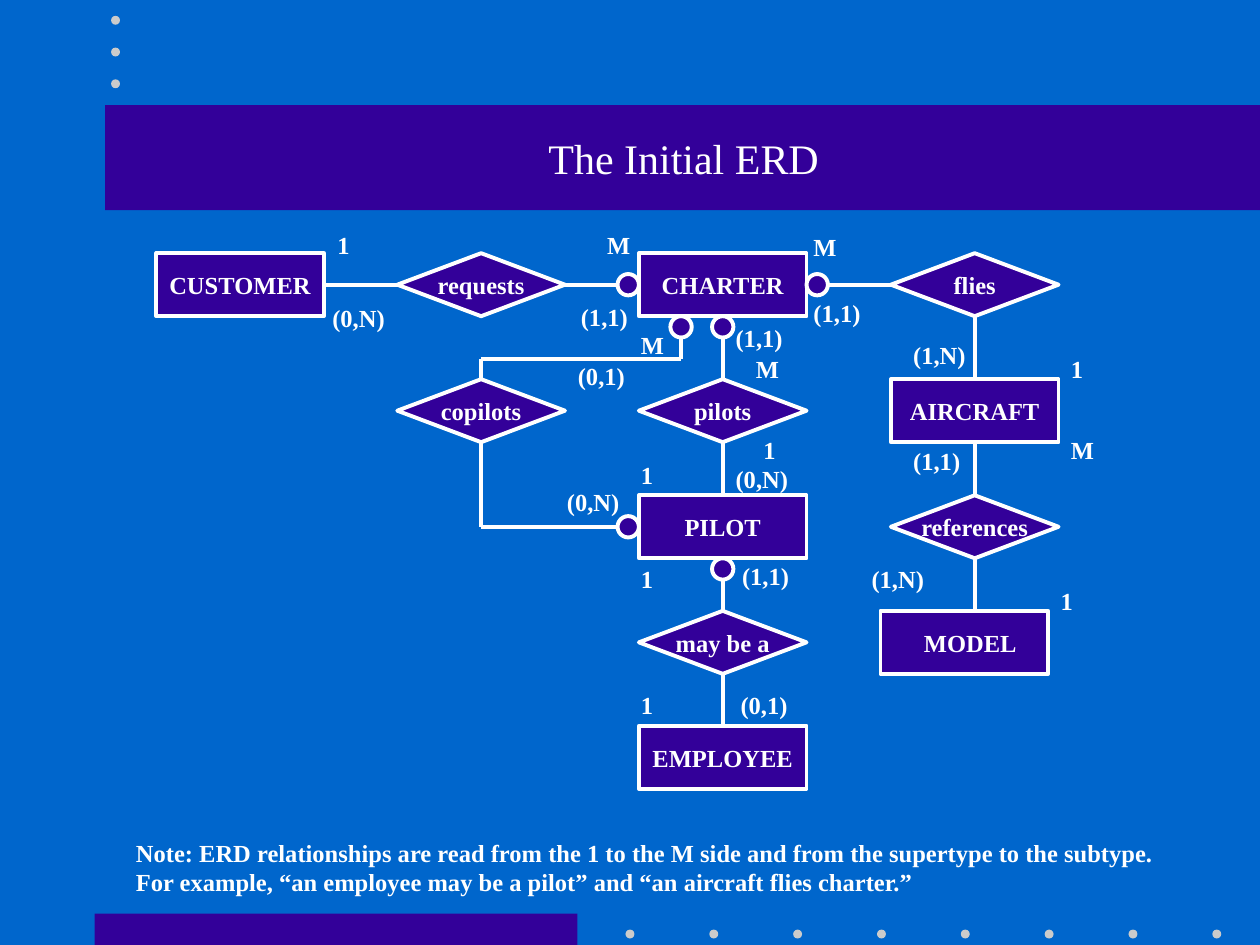
from lxml.etree import SubElement
from pptx import Presentation
from pptx.dml.color import RGBColor
from pptx.enum.shapes import MSO_CONNECTOR, MSO_SHAPE
from pptx.enum.text import MSO_ANCHOR, PP_ALIGN
from pptx.oxml.ns import qn
from pptx.util import Cm, Pt

BLUE, PURPLE, WHITE, GREY = "0066CC", "330099", "FFFFFF", "CBCBCB"
FONT = "Times New Roman"
LINE_WIDTH = 2.25
NODE_WIDTH, NODE_HEIGHT = 3.38, 1.27
CIRCLE = 0.43
DOT = 0.18

# Centres of the diagram's columns and rows, in cm
CUSTOMER_X, LEFT_X, MIDDLE_X, RIGHT_X, MODEL_X = 4.84, 9.7, 14.57, 19.65, 19.44
ROWS = (5.74, 8.28, 10.62, 12.95, 15.27)

ENTITIES = {
    "CUSTOMER": (CUSTOMER_X, ROWS[0]),
    "CHARTER": (MIDDLE_X, ROWS[0]),
    "AIRCRAFT": (RIGHT_X, ROWS[1]),
    "PILOT": (MIDDLE_X, ROWS[2]),
    "MODEL": (MODEL_X, ROWS[3]),
    "EMPLOYEE": (MIDDLE_X, ROWS[4]),
}
RELATIONSHIPS = {
    "requests": (LEFT_X, ROWS[0]),
    "flies": (RIGHT_X, ROWS[0]),
    "copilots": (LEFT_X, ROWS[1]),
    "pilots": (MIDDLE_X, ROWS[1]),
    "references": (RIGHT_X, ROWS[2]),
    "may be a": (MIDDLE_X, ROWS[3]),
}
NODES = {**ENTITIES, **RELATIONSHIPS}
SIDES = {"left": (-1, 0), "right": (1, 0), "top": (0, -1), "bottom": (0, 1)}

# Relationship, its side, entity, its side, circle at the entity
LINKS = [
    ("requests", "left", "CUSTOMER", "right", False),
    ("requests", "right", "CHARTER", "left", True),
    ("flies", "left", "CHARTER", "right", True),
    ("flies", "bottom", "AIRCRAFT", "top", False),
    ("references", "top", "AIRCRAFT", "bottom", False),
    ("references", "bottom", "MODEL", "top", False),
    ("pilots", "top", "CHARTER", "bottom", True),
    ("pilots", "bottom", "PILOT", "top", False),
    ("may be a", "top", "PILOT", "bottom", True),
    ("may be a", "bottom", "EMPLOYEE", "top", False),
]

# Label text: box width, then the left and top of each box
LABELS = {
    "1": (0.72, [(6.55, 4.52), (12.67, 9.14), (15.14, 8.64), (12.67, 11.25),
                 (12.67, 13.79), (21.13, 11.68), (21.34, 7.01)]),
    "M": (1, [(11.99, 4.52), (16.15, 4.55), (12.67, 6.53), (14.99, 7.01),
              (21.34, 8.64)]),
    "(1,1)": (1.5, [(11.46, 5.97), (16.15, 5.89), (18.16, 8.86),
                    (14.71, 11.18), (14.58, 6.38)]),
    "(0,1)": (1.5, [(11.4, 7.16), (14.68, 13.79)]),
    "(1,N)": (1.7, [(18.16, 6.73), (17.32, 11.25)]),
    "(0,N)": (1.7, [(6.45, 5.99), (11.18, 9.7), (14.58, 9.22)]),
}
NOTE = [
    "Note: ERD relationships are read from the 1 to the M side and from the supertype to the subtype.",
    "For example, “an employee may be a pilot” and “an aircraft flies charter.”",
]


def colour(value):
    return RGBColor.from_string(value)


def write_text(frame, *lines, size=14, bold=True, align=PP_ALIGN.LEFT,
               anchor=MSO_ANCHOR.TOP):
    frame.word_wrap = False
    frame.vertical_anchor = anchor
    for index, line in enumerate(lines):
        paragraph = frame.add_paragraph() if index else frame.paragraphs[0]
        paragraph.alignment = align
        run = paragraph.add_run()
        run.text = line
        run.font.name = FONT
        run.font.size = Pt(size)
        run.font.bold = bold
        run.font.color.rgb = colour(WHITE)


def add_text(slide, left, top, width, height, *lines, **text_format):
    box = slide.shapes.add_textbox(Cm(left), Cm(top), Cm(width), Cm(height))
    write_text(box.text_frame, *lines, **text_format)


def add_shape(slide, kind, left, top, width, height, fill, line=None):
    shape = slide.shapes.add_shape(kind, Cm(left), Cm(top), Cm(width), Cm(height))
    shape.shadow.inherit = False
    shape.fill.solid()
    shape.fill.fore_color.rgb = colour(fill)
    if line:
        shape.line.color.rgb = colour(line)
        shape.line.width = Pt(LINE_WIDTH)
    else:
        shape.line.fill.background()
    return shape


def add_node(slide, kind, name, x, y):
    shape = add_shape(slide, kind, x - NODE_WIDTH / 2, y - NODE_HEIGHT / 2,
                      NODE_WIDTH, NODE_HEIGHT, PURPLE, WHITE)
    frame = shape.text_frame
    frame.margin_left = frame.margin_right = 0
    if name == "MODEL":
        frame.margin_left = Cm(0.24)
    write_text(frame, name, align=PP_ALIGN.CENTER, anchor=MSO_ANCHOR.MIDDLE)


def add_circle(slide, x, y):
    add_shape(slide, MSO_SHAPE.FLOWCHART_CONNECTOR, x - CIRCLE / 2, y - CIRCLE / 2,
              CIRCLE, CIRCLE, PURPLE, WHITE)


def add_path(slide, *points):
    """Join the points in turn with straight lines."""
    for start, end in zip(points, points[1:]):
        line = slide.shapes.add_connector(
            MSO_CONNECTOR.STRAIGHT, *(Cm(value) for value in (*start, *end)))
        line.line.color.rgb = colour(WHITE)
        line.line.width = Pt(LINE_WIDTH)
        SubElement(line._element.spPr, qn("a:effectLst"))


def edge_point(name, side, gap=0.0):
    """Point outside the middle of a node's side, at the given gap."""
    x, y = NODES[name]
    across, down = SIDES[side]
    return (x + across * (NODE_WIDTH / 2 + gap), y + down * (NODE_HEIGHT / 2 + gap))


def add_link(slide, relationship, exit_side, entity, entry_side, circled):
    start = edge_point(relationship, exit_side)
    end = edge_point(entity, entry_side, CIRCLE if circled else 0)
    if exit_side in ("top", "bottom"):
        end = (start[0], end[1])
    add_path(slide, start, end)
    if circled:
        add_circle(slide, *edge_point(entity, entry_side, CIRCLE / 2))


def add_copilot_links(slide):
    charter_x, bend_y = 13.73, 7.24
    circle_y = edge_point("CHARTER", "bottom", CIRCLE / 2)[1]
    add_path(slide, edge_point("copilots", "top"), (LEFT_X, bend_y),
             (charter_x, bend_y), (charter_x, circle_y + CIRCLE / 2))
    add_circle(slide, charter_x, circle_y)
    add_path(slide, edge_point("copilots", "bottom"), (LEFT_X, ROWS[2]),
             edge_point("PILOT", "left", CIRCLE))
    add_circle(slide, *edge_point("PILOT", "left", CIRCLE / 2))


def add_decoration(slide):
    add_shape(slide, MSO_SHAPE.RECTANGLE, 1.91, 18.42, 9.73, 0.63, PURPLE)
    add_shape(slide, MSO_SHAPE.RECTANGLE, 2.12, 2.12, 23.28, 2.12, PURPLE)
    bottom_dots = [(12.61 + 1.69 * index, 18.74) for index in range(8)]
    top_dots = [(2.24, 0.32 + 0.64 * index) for index in range(3)]
    for left, top in bottom_dots + top_dots:
        add_shape(slide, MSO_SHAPE.OVAL, left, top, DOT, DOT, GREY)


def main():
    presentation = Presentation()
    presentation.slide_width, presentation.slide_height = Cm(25.4), Cm(19.05)
    slide = presentation.slides.add_slide(presentation.slide_layouts[6])
    slide.background.fill.solid()
    slide.background.fill.fore_color.rgb = colour(BLUE)

    add_decoration(slide)
    for name, centre in ENTITIES.items():
        add_node(slide, MSO_SHAPE.RECTANGLE, name, *centre)
    for name, centre in RELATIONSHIPS.items():
        add_node(slide, MSO_SHAPE.FLOWCHART_DECISION, name, *centre)
    for link in LINKS:
        add_link(slide, *link)
    add_copilot_links(slide)
    for text, (width, places) in LABELS.items():
        for left, top in places:
            add_text(slide, left, top, width, 0.86, text)
    add_text(slide, 2.49, 16.76, 21.06, 1.45, *NOTE)
    add_text(slide, 10.8, 2.54, 5.97, 1.27, "The Initial ERD", size=24, bold=False,
             align=PP_ALIGN.CENTER, anchor=MSO_ANCHOR.MIDDLE)
    presentation.save("out.pptx")


if __name__ == "__main__":
    main()
